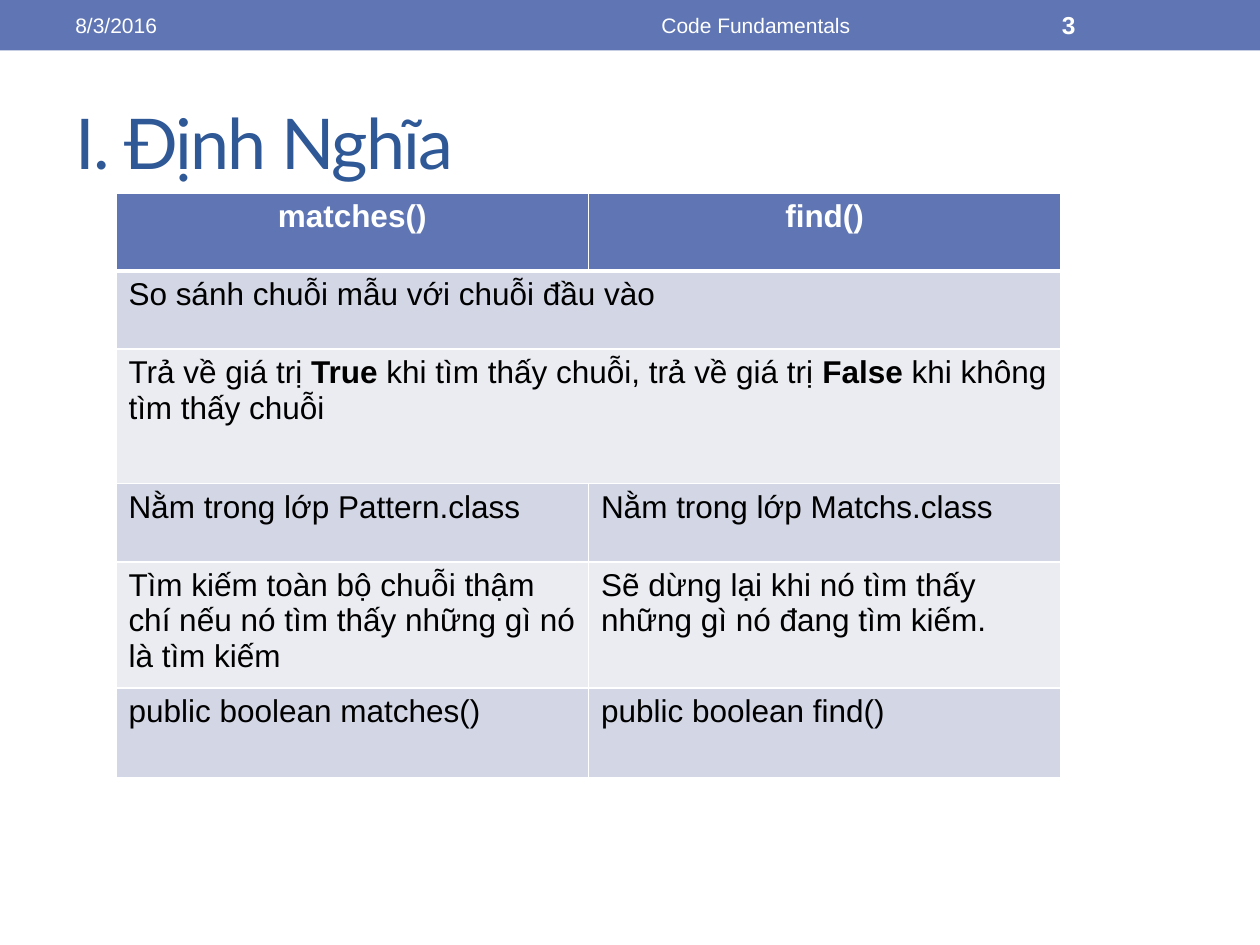
from lxml.etree import SubElement
from pptx import Presentation
from pptx.dml.color import RGBColor
from pptx.enum.shapes import MSO_SHAPE
from pptx.enum.text import MSO_ANCHOR, PP_ALIGN
from pptx.oxml.ns import qn
from pptx.util import Inches, Pt

HUES = {"bar": "6076B4", "title": "2F5897", "white": "FFFFFF",
        "black": "000000", "dark": "D2D6E5", "light": "EAECF2"}
WIDE, HIGH = Inches(10), Inches(7.5)
ROWS = [
    (0.62, ["matches()", "find()"]),
    (0.62, ["So sánh chuỗi mẫu với chuỗi đầu vào"]),
    (1.07, ["Trả về giá trị *True *khi tìm thấy chuỗi, trả về giá trị "
            "*False *khi không tìm thấy chuỗi"]),
    (0.62, ["Nằm trong lớp Pattern.class", "Nằm trong lớp Matchs.class"]),
    (0.85, ["Tìm kiếm toàn bộ chuỗi thậm chí nếu nó tìm thấy những gì nó là tìm kiếm",
            "Sẽ dừng lại khi nó tìm thấy những gì nó đang tìm kiếm."]),
    (0.71, ["public boolean matches()", "public boolean find()"]),
]


def paint(item, hue):
    item.fill.solid()
    item.fill.fore_color.rgb = RGBColor.from_string(HUES[hue])


def write(frame, text, size=18, hue="black", font="Arial", bold=False,
          align=PP_ALIGN.LEFT, space=None):
    frame.word_wrap = True
    line = frame.paragraphs[0]
    line.alignment = align
    for turn, part in enumerate(text.split("*")):
        run = line.add_run()
        run.text = part
        run.font.name = font
        run.font.size = Pt(size)
        run.font.bold = bold or turn % 2 == 1
        run.font.color.rgb = RGBColor.from_string(HUES[hue])
        if space is not None:
            run.font._element.set("spc", str(space * 100))


def edge(cell, head):
    props = cell._tc.get_or_add_tcPr()
    for side in "LRTB":
        width = Pt(3 if head and side == "B" else 1)
        line = SubElement(props, qn("a:ln" + side), w=str(width))
        fill = SubElement(line, qn("a:solidFill"))
        SubElement(fill, qn("a:srgbClr"), val=HUES["white"])


def banner(slide, left, top, width, height):
    bar = slide.shapes.add_shape(MSO_SHAPE.RECTANGLE, left, top, width, height)
    bar.shadow.inherit = False
    bar.line.fill.background()
    paint(bar, "bar")
    parts = [
        (0.05, 0.317, "8/3/2016", {}),
        (0.375, 0.45, "Code Fundamentals", {"align": PP_ALIGN.CENTER}),
        (0.833, 0.117, "3", {"size": 14, "bold": True}),
    ]
    for start, share, text, style in parts:
        box = slide.shapes.add_textbox(
            left + int(width * start), top + int(height * 0.05),
            int(width * share), int(height * 0.9))
        box.text_frame.vertical_anchor = MSO_ANCHOR.MIDDLE
        write(box.text_frame, text, **{"size": 12, "hue": "white", **style})


def heading(slide, left, top, width, height):
    title = slide.shapes.title
    title.left, title.top, title.width, title.height = left, top, width, height
    title.text_frame.vertical_anchor = MSO_ANCHOR.MIDDLE
    write(title.text_frame, "I. Định Nghĩa", size=40, hue="title",
          font="Lato", space=-1)


def compare(slide, left, top, width, height):
    table = slide.shapes.add_table(len(ROWS), 2, left, top, width, height).table
    total = sum(share for share, texts in ROWS)
    for col in table.columns:
        col.width = width // 2
    for row, (share, texts) in enumerate(ROWS):
        table.rows[row].height = int(height * share / total)
        head = row == 0
        for cell in table.rows[row].cells:
            edge(cell, head)
            paint(cell, "bar" if head else "dark" if row % 2 else "light")
        if len(texts) == 1:
            table.cell(row, 0).merge(table.cell(row, 1))
        for col, text in enumerate(texts):
            write(table.cell(row, col).text_frame, text, bold=head,
                  hue="white" if head else "black",
                  align=PP_ALIGN.CENTER if head else PP_ALIGN.LEFT)


def main():
    deck = Presentation()
    deck.slide_width, deck.slide_height = WIDE, HIGH
    slide = deck.slides.add_slide(deck.slide_layouts[5])
    banner(slide, 0, 0, WIDE, Inches(0.4))
    heading(slide, int(WIDE * 0.05), Inches(0.58), int(WIDE * 0.9), Inches(1.08))
    compare(slide, Inches(0.92), Inches(1.53), int(WIDE * 0.75), Inches(4.49))
    deck.save("out.pptx")


if __name__ == "__main__":
    main()
